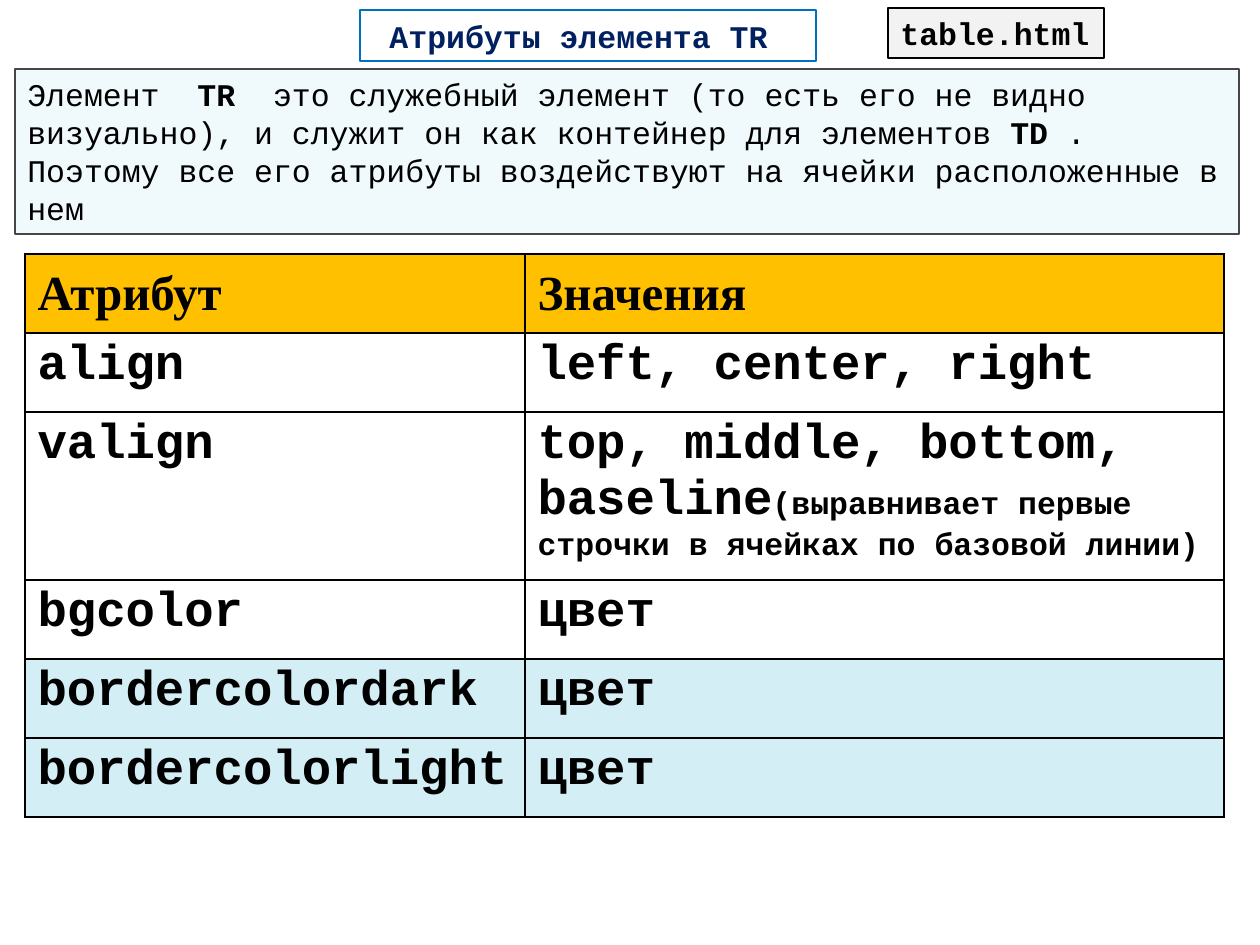
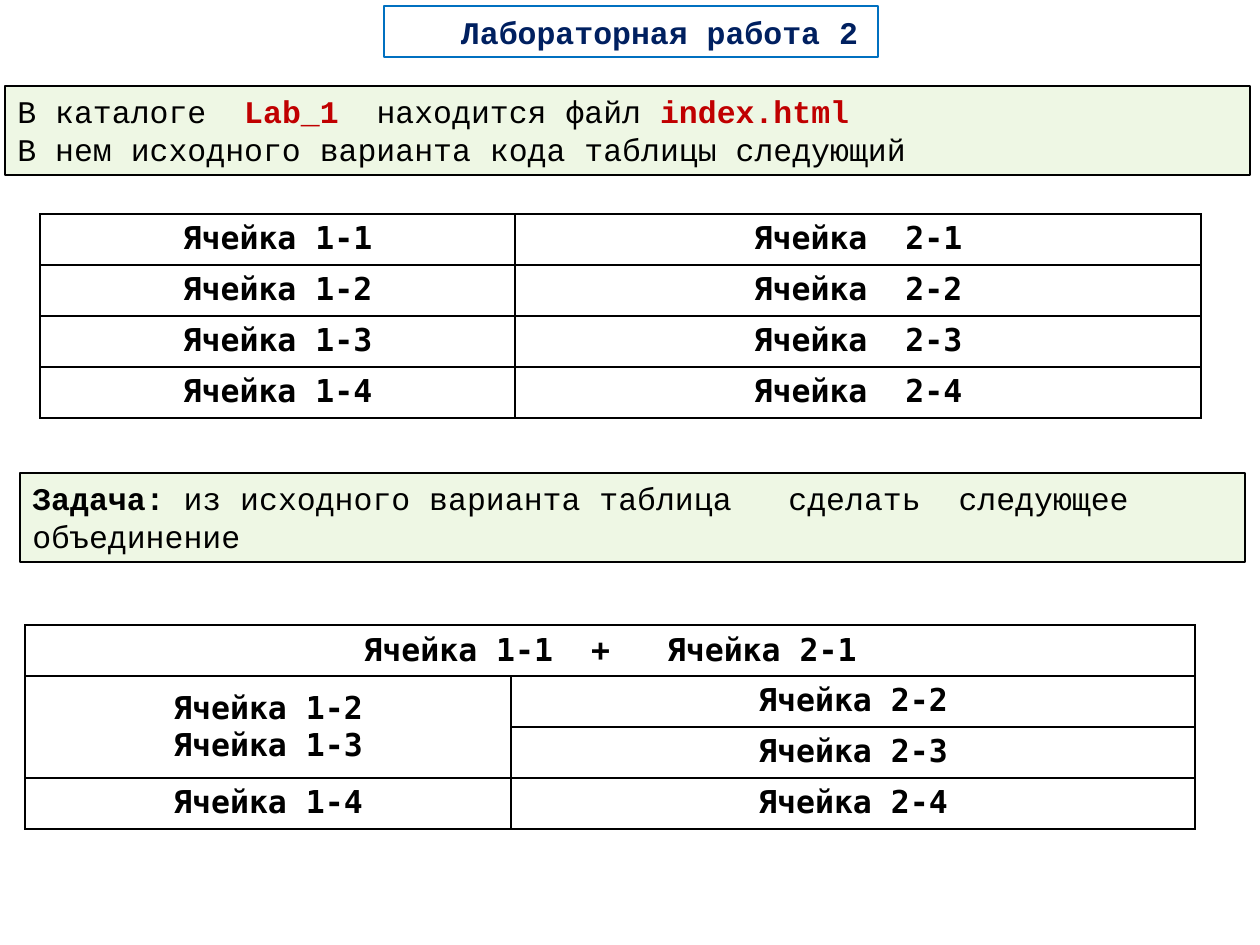
from dataclasses import dataclass, replace
from typing import NamedTuple

from lxml import etree
from pptx import Presentation
from pptx.dml.color import RGBColor
from pptx.enum.shapes import MSO_SHAPE
from pptx.enum.text import MSO_ANCHOR, MSO_AUTO_SIZE, PP_ALIGN
from pptx.oxml.ns import qn
from pptx.util import Emu, Pt

RECT = MSO_SHAPE.RECTANGLE
TOP, MIDDLE = MSO_ANCHOR.TOP, MSO_ANCHOR.MIDDLE
LEFT, CENTER = PP_ALIGN.LEFT, PP_ALIGN.CENTER
NO_AUTOSIZE = MSO_AUTO_SIZE.NONE

EMU_PER_PX = 914400 / 126
TITLE_ONLY = 5
INSET = 13

BLACK = "000000"
NAVY = "002060"
BLUE = "0070C0"
RED = "C00000"
AMBER = "FFC000"
PALE_BLUE = "D3EEF5"


class Box(NamedTuple):
    x: int
    y: int
    w: int
    h: int


class Run(NamedTuple):
    text: str
    bold: bool | None = None
    color: str | None = None
    size: int | None = None


Paragraphs = list[list[Run]]


@dataclass(frozen=True)
class TextStyle:
    name: str = "Courier New"
    size: int = 18
    color: str = BLACK
    bold: bool = False
    align: PP_ALIGN = LEFT


@dataclass(frozen=True)
class Panel:
    box: Box
    paragraphs: Paragraphs
    fill: str
    alpha: int = 100
    line: str = BLACK
    line_width: float = 0.75
    style: TextStyle = TextStyle()
    wrap: bool = True


@dataclass(frozen=True)
class Grid:
    x: int
    y: int
    cols: list[int]
    rows: list[int]
    cells: list[list[Paragraphs]]
    style: TextStyle
    header: TextStyle | None = None
    row_fills: dict[int, str] | None = None
    merges: tuple[tuple[int, int, int, int], ...] = ()


TITLE = TextStyle(color=NAVY, bold=True, align=CENTER)
ATTRIBUTE = TextStyle(size=28, bold=True)
HEADER = replace(ATTRIBUTE, name="Times New Roman")
LAB_CELL = TextStyle(name="DejaVu Sans Mono", bold=True, align=CENTER)


def px(n: float) -> Emu:
    return Emu(round(n * EMU_PER_PX))


def rgb(color: str) -> RGBColor:
    return RGBColor.from_string(color)


def lines(*texts: str) -> Paragraphs:
    return [[Run(text)] for text in texts]


def write_text(tf, paragraphs: Paragraphs, style: TextStyle) -> None:
    for i, runs in enumerate(paragraphs):
        p = tf.add_paragraph() if i else tf.paragraphs[0]
        p.alignment = style.align
        for run in runs:
            p.add_run().text = run.text
        for font in (p.font, *(r.font for r in p.runs)):
            font.name = style.name
            font.size = Pt(style.size)
            font.bold = style.bold
            font.color.rgb = rgb(style.color)
        for run, r in zip(runs, p.runs):
            if run.bold is not None:
                r.font.bold = run.bold
            if run.color:
                r.font.color.rgb = rgb(run.color)
            if run.size:
                r.font.size = Pt(run.size)


def set_outline(sp, color: str, width: float) -> None:
    sp.line.color.rgb = rgb(color)
    sp.line.width = Pt(width)


def add_title(slide, box: Box, text: str, left: int = 0, right: int = 0) -> None:
    sp = slide.shapes.title
    sp.left, sp.top, sp.width, sp.height = map(px, box)
    set_outline(sp, BLUE, 1.5)
    tf = sp.text_frame
    tf.auto_size = NO_AUTOSIZE
    tf.vertical_anchor = MIDDLE
    tf.margin_left, tf.margin_right = px(INSET + left), px(INSET + right)
    write_text(tf, lines(text), TITLE)


def add_panel(slide, panel: Panel) -> None:
    sp = slide.shapes.add_shape(RECT, *map(px, panel.box))
    sp.shadow.inherit = False
    sp.fill.solid()
    sp.fill.fore_color.rgb = rgb(panel.fill)
    if panel.alpha < 100:
        clr = sp.fill._xPr.find(qn("a:solidFill"))[0]
        etree.SubElement(clr, qn("a:alpha"), val=str(panel.alpha * 1000))
    set_outline(sp, panel.line, panel.line_width)
    tf = sp.text_frame
    tf.word_wrap = panel.wrap
    tf.vertical_anchor = TOP
    write_text(tf, panel.paragraphs, panel.style)


def set_borders(cell) -> None:
    tc_pr = cell._tc.get_or_add_tcPr()
    for side in ("a:lnL", "a:lnR", "a:lnT", "a:lnB"):
        ln = etree.SubElement(tc_pr, qn(side), w=str(Pt(1)))
        fill = etree.SubElement(ln, qn("a:solidFill"))
        etree.SubElement(fill, qn("a:srgbClr"), val=BLACK)


def add_grid(slide, grid: Grid) -> None:
    frame = slide.shapes.add_table(
        len(grid.rows), len(grid.cols), px(grid.x), px(grid.y),
        px(sum(grid.cols)), px(sum(grid.rows)))
    table = frame.table
    table.first_row = table.horz_banding = False
    for col, width in zip(table.columns, grid.cols):
        col.width = px(width)
    for row, height in zip(table.rows, grid.rows):
        row.height = px(height)
    fills = grid.row_fills or {}
    for i, row in enumerate(grid.cells):
        is_header = grid.header is not None and i == 0
        for j, paragraphs in enumerate(row):
            cell = table.cell(i, j)
            set_borders(cell)
            if i in fills:
                cell.fill.solid()
                cell.fill.fore_color.rgb = rgb(fills[i])
            else:
                cell.fill.background()
            cell.vertical_anchor = MIDDLE if is_header else TOP
            write_text(cell.text_frame, paragraphs,
                       grid.header if is_header else grid.style)
    for top, left, bottom, right in grid.merges:
        cell = table.cell(top, left)
        cell.merge(table.cell(bottom, right))
        cell.vertical_anchor = MIDDLE


def build_attributes(slide) -> None:
    add_title(slide, Box(360, 10, 456, 51), "Атрибуты элемента TR", right=19)
    add_panel(slide, Panel(
        Box(888, 8, 216, 50), lines("table.html"), "F2F2F2",
        line_width=1.5, style=TextStyle(bold=True), wrap=False))
    baseline = [[
        Run("top, middle, bottom, baseline"),
        Run("(выравнивает первые строчки в ячейках по базовой линии)", size=18),
    ]]
    color = lines("цвет")
    add_grid(slide, Grid(
        25, 254, [500, 699], [79, 79, 168, 79, 79, 79],
        [
            [lines("Атрибут"), lines("Значения")],
            [lines("align"), lines("left, center, right")],
            [lines("valign"), baseline],
            [lines("bgcolor"), color],
            [lines("bordercolordark"), color],
            [lines("bordercolorlight"), color],
        ],
        ATTRIBUTE, HEADER, {0: AMBER, 4: PALE_BLUE, 5: PALE_BLUE}))
    add_panel(slide, Panel(
        Box(15, 69, 1224, 165),
        [
            [
                Run("Элемент  "),
                Run("TR ", bold=True),
                Run(" это служебный элемент (то есть его не видно визуально), "
                    "и служит он как контейнер для элементов "),
                Run("TD ", bold=True),
                Run("."),
            ],
            [Run("Поэтому все его атрибуты воздействуют на ячейки "
                 "расположенные в нем")],
        ],
        "A6DDEA", alpha=16, line="464646"))


def build_lab(slide) -> None:
    green = "92D050"
    row_heights = [51] * 4
    add_title(slide, Box(384, 6, 494, 51), "Лабораторная работа 2", left=57)
    add_panel(slide, Panel(
        Box(5, 86, 1245, 89),
        [
            [
                Run("В каталоге  "),
                Run("Lab_1  ", bold=True, color=RED),
                Run("находится файл "),
                Run("index.html", bold=True, color=RED),
            ],
            [Run("В нем исходного варианта кода таблицы следующий")],
        ],
        green, alpha=15))
    add_grid(slide, Grid(
        25, 625, [486, 684], row_heights,
        [
            [lines("Ячейка 1-1  +   Ячейка 2-1"), []],
            [lines("Ячейка 1-2", "Ячейка 1-3"), lines("Ячейка 2-2")],
            [[], lines("Ячейка 2-3")],
            [lines("Ячейка 1-4"), lines("Ячейка 2-4")],
        ],
        LAB_CELL, merges=((0, 0, 0, 1), (1, 0, 2, 0))))
    add_grid(slide, Grid(
        40, 214, [475, 686], row_heights,
        [[lines(f"Ячейка 1-{n}"), lines(f"Ячейка  2-{n}")] for n in range(1, 5)],
        LAB_CELL))
    add_panel(slide, Panel(
        Box(20, 473, 1225, 89),
        [[
            Run("Задача: ", bold=True),
            Run("из исходного варианта таблица   сделать  следующее объединение"),
        ]],
        green, alpha=15))


def main() -> None:
    prs = Presentation()
    prs.slide_width, prs.slide_height = px(1260), px(945)
    for build in (build_attributes, build_lab):
        build(prs.slides.add_slide(prs.slide_layouts[TITLE_ONLY]))
    prs.save("out.pptx")


if __name__ == "__main__":
    main()
